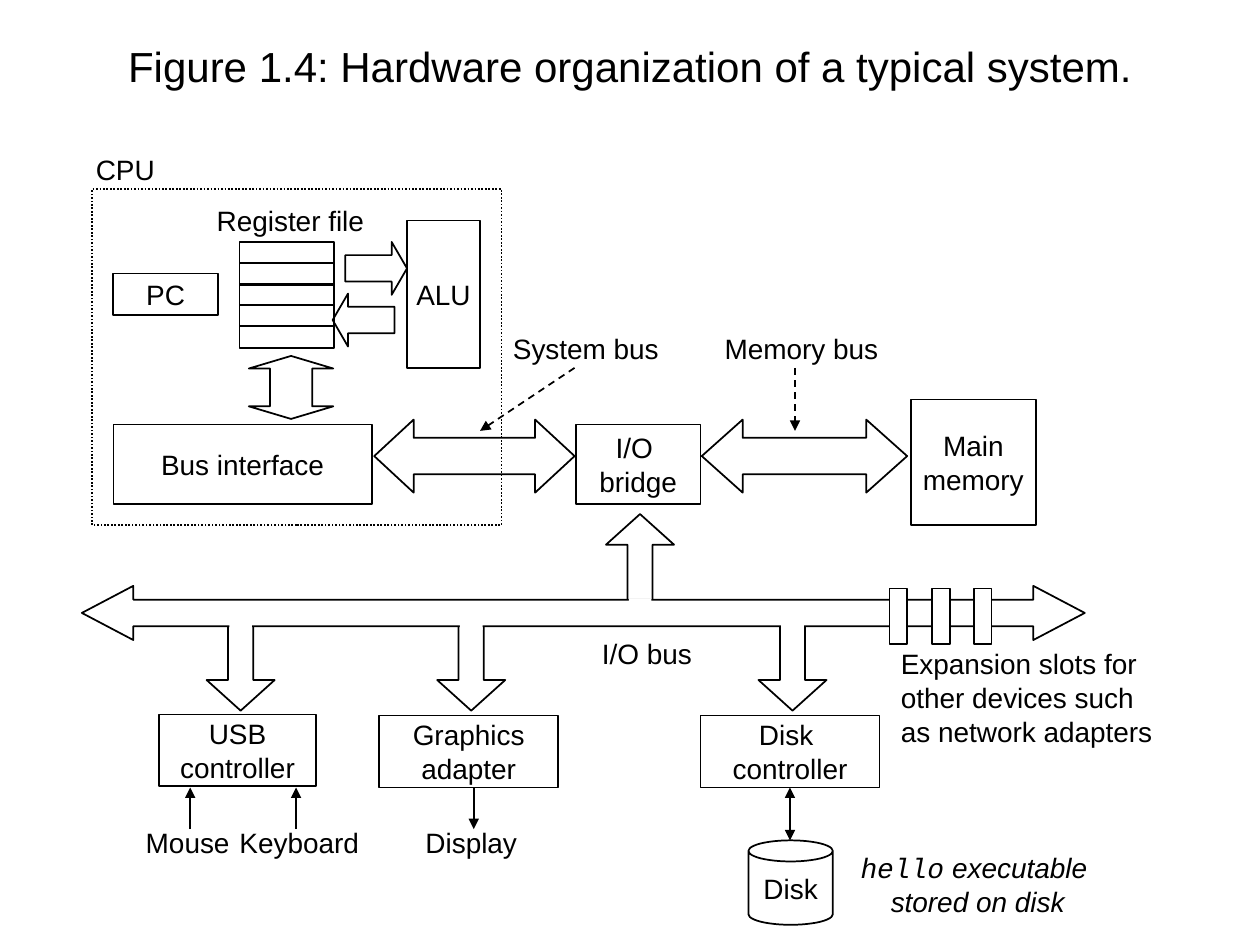
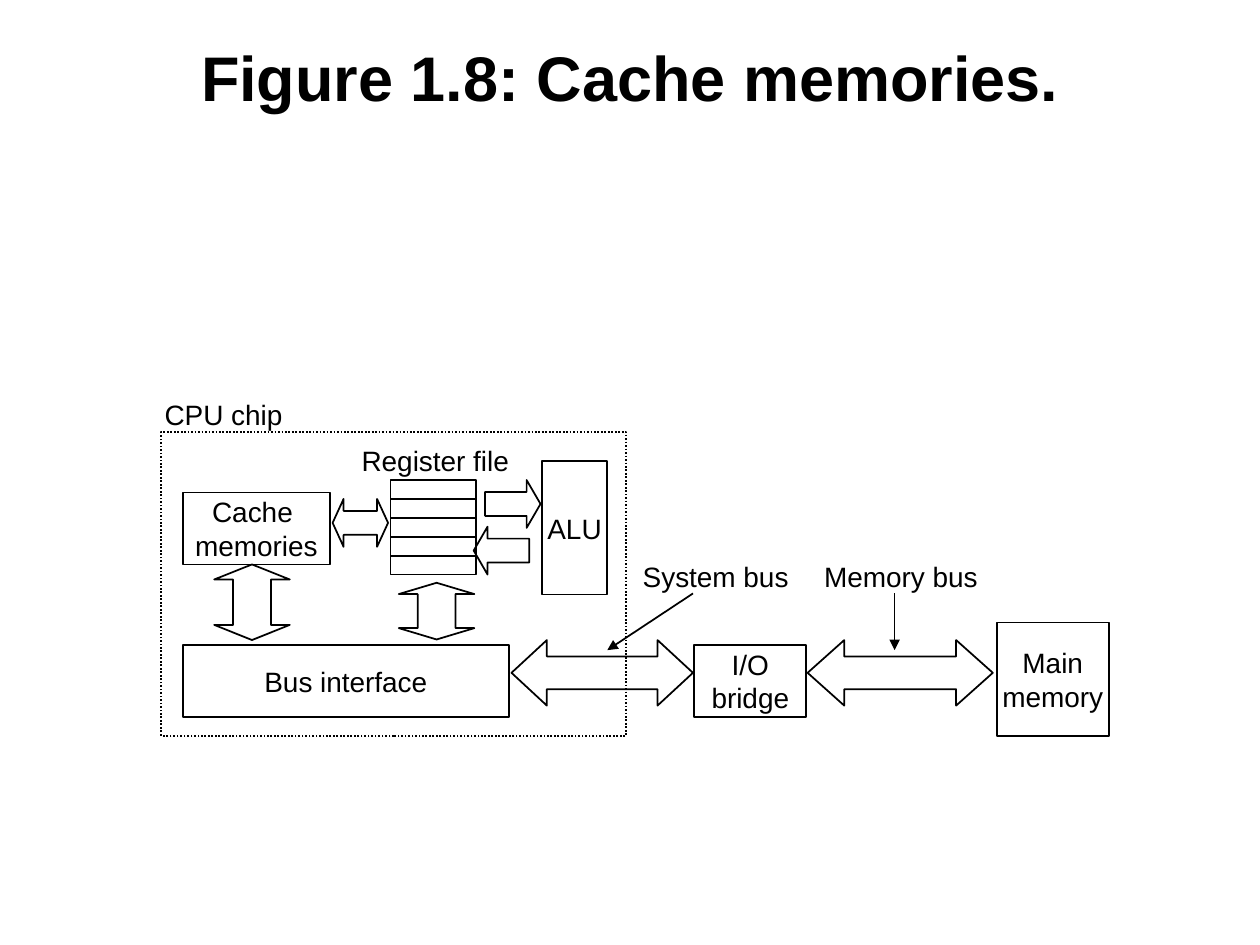
from lxml import etree
from pptx import Presentation
from pptx import util as u
from pptx.dml.color import RGBColor
from pptx.enum import dml, shapes, text
from pptx.oxml.ns import qn

PX = 9144  # 100 px to the inch
INK, PAPER = "000000", "FFFFFF"
SANS, MONO = "Arial", "Courier New"
BODY_SIZE = 16
LABEL_H = 37
S = shapes.MSO_SHAPE
CENTER, LEFT = text.PP_ALIGN.CENTER, text.PP_ALIGN.LEFT
DASH, DOT = dml.MSO_LINE.DASH, dml.MSO_LINE.ROUND_DOT


def emu(*lengths):
    return [u.Emu(round(n) * PX) for n in lengths]


def rgb(color):
    return RGBColor.from_string(color)


def set_attrs(obj, **values):
    for name, value in values.items():
        setattr(obj, name, value)


def style_font(font, **values):
    set_attrs(font, **{"name": SANS, "size": u.Pt(BODY_SIZE), **values})
    font.color.rgb = rgb(INK)


def style_line(line, dash=None):
    line.color.rgb = rgb(INK)
    line.width = u.Pt(1)
    if dash:
        line.dash_style = dash


def write(sp, lines, align=CENTER, italic=None):
    """Fill sp with lines; a line is a string or a list of (string, font) runs."""
    tf = sp.text_frame
    set_attrs(tf, word_wrap=False, vertical_anchor=text.MSO_ANCHOR.MIDDLE,
              margin_left=0, margin_right=0)
    for i, line in enumerate(lines):
        p = tf.paragraphs[0] if i == 0 else tf.add_paragraph()
        p.alignment = align
        for words, font in [(line, SANS)] if isinstance(line, str) else line:
            r = p.add_run()
            r.text = words
            style_font(r.font, name=font, italic=italic)


def shape(slide, kind, box, lines=(), adj=(), fill=None, dash=None, outline=True):
    sp = slide.shapes.add_shape(kind, *emu(*box))
    sp.shadow.inherit = False
    for i, value in enumerate(adj):
        sp.adjustments[i] = value
    if fill:
        sp.fill.solid()
        sp.fill.fore_color.rgb = rgb(fill)
    else:
        sp.fill.background()
    if outline:
        style_line(sp.line, dash)
    else:
        sp.line.fill.background()
    if lines:
        write(sp, lines)
    return sp


def up_down_arrow(slide, box):
    """Double arrow turned upright so that it fills box."""
    x, y, w, h = box
    turned = (x + (w - h) / 2, y + (h - w) / 2, h, w)
    shape(slide, S.LEFT_RIGHT_ARROW, turned, adj=(0.5, 0.2)).rotation = 90


def label(slide, lines, cx, cy, w, h=LABEL_H, **style):
    """Text centred on the point (cx, cy)."""
    sp = slide.shapes.add_textbox(*emu(cx - w / 2, cy - h / 2, w, h))
    write(sp, lines, **style)


def arrow(slide, start, end, dash=None, ends=("tailEnd",)):
    line = slide.shapes.add_connector(shapes.MSO_CONNECTOR.STRAIGHT, *emu(*start, *end))
    style_line(line.line, dash)
    ln = line.line._get_or_add_ln()
    for tag in ends:
        etree.SubElement(ln, qn("a:" + tag), type="triangle")
    etree.SubElement(line._element.spPr, qn("a:effectLst"))
    return line


def titled_slide(prs, title, height, size, bold=False):
    slide = prs.slides.add_slide(prs.slide_layouts[5])
    sp = slide.shapes.title
    for name, value in zip(("left", "top", "width", "height"), emu(50, 30, 900, height)):
        setattr(sp, name, value)
    tf = sp.text_frame
    tf.text = title
    set_attrs(tf, word_wrap=True, auto_size=text.MSO_AUTO_SIZE.NONE,
              vertical_anchor=text.MSO_ANCHOR.TOP)
    p = tf.paragraphs[0]
    set_attrs(p, alignment=CENTER, line_spacing=0.95)
    style_font(p.runs[0].font, size=u.Pt(size), bold=bold)
    return slide


def system(slide, box, cpu_name, cpu_name_w, bridge_name, bus_label_x, dash=None):
    """CPU, buses and memory, scaled to the box height and anchored at its right."""
    left, top, width, height = box
    k = height / 267
    x0 = left + width - 749 * k

    def point(x, y):
        return x0 + k * x, top + k * y

    def place(x, y, w, h):
        return *point(x, y), w * k, h * k

    inner = left + 17
    _, bus_top, _, bus_h = place(0, 187, 0, 63)
    bus_right, cpu_right = point(222, 0)[0], point(325, 0)[0]

    shape(slide, S.RECTANGLE, place(650, 167, 99, 100), ["Main", "memory"])
    shape(slide, S.LEFT_RIGHT_ARROW, place(484, 183, 163, 58), adj=(0.5, 0.56))
    shape(slide, S.RECTANGLE, place(384, 187, 99, 63), [bridge_name, "bridge"])
    shape(slide, S.LEFT_RIGHT_ARROW, place(224, 183, 159, 58), adj=(0.5, 0.54))
    shape(slide, S.RECTANGLE, (inner, bus_top, bus_right - inner, bus_h), ["Bus interface"])

    for row in range(5):
        shape(slide, S.RECTANGLE, place(117, 42 + row * 50 / 3, 75, 50 / 3))
    shape(slide, S.RIGHT_ARROW, place(201, 42, 49, 42), adj=(0.5, 0.29))
    shape(slide, S.LEFT_ARROW, place(191, 83, 49, 42), adj=(0.5, 0.29))
    shape(slide, S.RECTANGLE, place(250, 25, 58, 117), ["ALU"])
    label(slide, ["Register file"], *point(157, 25), 137)
    up_down_arrow(slide, place(125, 133, 67, 50))

    shape(slide, S.RECTANGLE, (left, top, cpu_right - left, height), dash=DOT)
    label(slide, [cpu_name], left - 7 + cpu_name_w / 2, top - 15, cpu_name_w)

    system_x, memory_x = bus_label_x
    label_y, arrow_top, arrow_end = (point(0, y)[1] for y in (127, 142, 192))
    label(slide, ["System bus"], system_x, label_y, 136)
    arrow(slide, point(383, 142), point(308, 192), dash)
    label(slide, ["Memory bus"], memory_x, label_y, 142)
    arrow(slide, (memory_x - 5, arrow_top), (memory_x - 5, arrow_end), dash)


def io_bus(slide, left, top):
    """I/O bus with its branches, controllers and expansion slots."""
    def place(x, y, w, h):
        return left + x, top + y, w, h

    branches = [(S.UP_ARROW, 416, 0, 67), (S.DOWN_ARROW, 99, 81, 76),
                (S.DOWN_ARROW, 282, 81, 75), (S.DOWN_ARROW, 537, 81, 74)]
    for kind, x, y, _ in branches:
        shape(slide, kind, place(x, y, 54, 75), adj=(0.37, 0.45))
    shape(slide, S.LEFT_RIGHT_ARROW, place(0, 57, 796, 43), adj=(0.49, 0.95), fill=PAPER)
    for _, x, _, joint_y in branches:
        shape(slide, S.RECTANGLE, place(x + 18, joint_y, 18, 17), fill=PAPER, outline=False)
    label(slide, ["I/O bus"], left + 449, top + 110, 91)

    for i in range(3):
        shape(slide, S.RECTANGLE, place(641 + 33.5 * i, 59, 14, 44), fill=PAPER)
    label(slide, ["Expansion slots for", "other devices such", "as network adapters"],
          left + 760, top + 146, 220, 91, align=LEFT)

    controllers = [(["USB", "controller"], 61, 159, 125),
                   (["Graphics", "adapter"], 236, 160, 142),
                   (["Disk ", "controller"], 491, 160, 142)]
    return [shape(slide, S.RECTANGLE, place(x, y, w, 57), lines)
            for lines, x, y, w in controllers]


def peripherals(slide, left, top, disk_controller):
    """Devices below the controllers."""
    for name, x, label_x, w, is_input in [("Mouse", 45, 43, 86, True),
                                          ("Keyboard", 129, 132, 115, True),
                                          ("Display", 270, 268, 92, False)]:
        ends = [(left + x, top), (left + x, top + 33)]
        arrow(slide, *(reversed(ends) if is_input else ends))
        label(slide, [name], left + label_x, top + 44, w)

    shape(slide, S.CAN, (left + 488, top + 42, 67, 67), ["Disk"], adj=(0.25,))
    link = arrow(slide, (left + 521, top), (left + 521, top + 42),
                 ends=("headEnd", "tailEnd"))
    link.begin_connect(disk_controller, 2)
    label(slide, [[("hello", MONO), (" executable ", SANS)], "stored on disk"],
          left + 670, top + 77, 206, 64, italic=True)


def hardware_slide(prs):
    slide = titled_slide(prs, "Figure 1.4: Hardware organization of a typical system.", 80, 24)
    system(slide, (73, 150, 749, 267), "CPU", 67, "I/O ", (465, 636), DASH)
    shape(slide, S.RECTANGLE, (90, 217, 83, 33), ["PC"])
    *_, disk_controller = io_bus(slide, 65, 408)
    peripherals(slide, 106, 625, disk_controller)


def cache_slide(prs):
    slide = titled_slide(prs, "Figure 1.8: Cache memories.", 125, 36, bold=True)
    system(slide, (128, 343, 752, 241), "CPU chip", 113, "I/O", (568, 715))
    shape(slide, S.RECTANGLE, (145, 391, 117, 57), ["Cache ", "memories"])
    up_down_arrow(slide, (170, 448, 60, 60))
    shape(slide, S.LEFT_RIGHT_ARROW, (264, 396, 44, 38), adj=(0.5, 0.23))


def main():
    prs = Presentation()
    prs.slide_width, prs.slide_height = emu(1000, 750)
    hardware_slide(prs)
    cache_slide(prs)
    prs.save("out.pptx")


if __name__ == "__main__":
    main()
